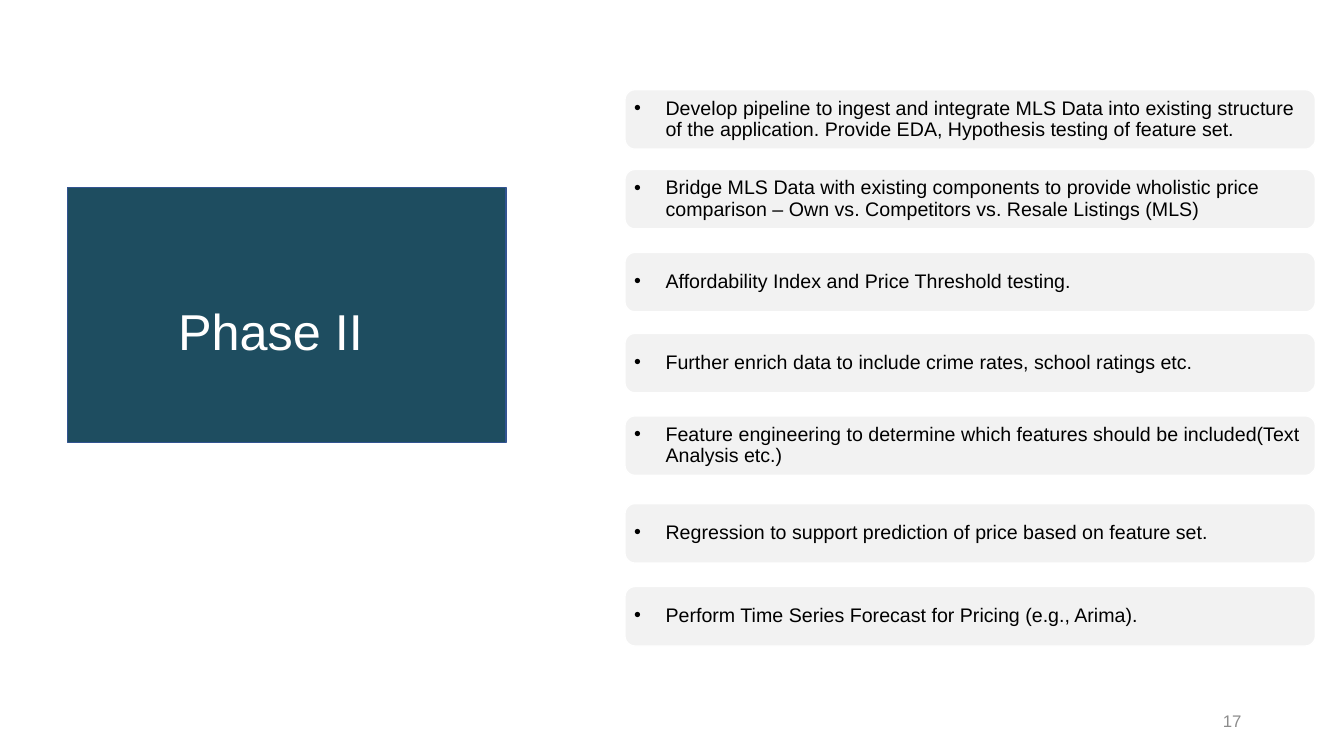
from dataclasses import dataclass

from lxml import etree
from pptx import Presentation
from pptx import util as u
from pptx.dml.color import RGBColor
from pptx.enum import shapes, text
from pptx.oxml import ns


@dataclass(frozen=True)
class Theme:
    font: str = "Arial"
    panel: str = "1E4D60"
    panel_line: str = "325491"
    card: str = "F2F2F2"
    white: str = "FFFFFF"
    black: str = "000000"
    gray: str = "8C8C8C"
    title_size: int = 36
    task_size: int = 14
    number_size: int = 12
    line_width: int = 1


@dataclass(frozen=True)
class Box:
    left: float
    top: float
    width: float
    height: float

    def lengths(self) -> tuple:
        return tuple(u.Cm(side) for side in (self.left, self.top, self.width, self.height))


@dataclass(frozen=True)
class Task:
    top: float
    wording: str


THEME = Theme()
PANEL = Box(1.7, 4.73, 11.05, 6.42)
TITLE = Box(4.24, 7.11, 5.38, 2.64)
PAGE_NUMBER = Box(23.92, 17.65, 7.62, 1.02)
CARD_LEFT, CARD_WIDTH, CARD_HEIGHT = 15.75, 17.4, 1.5
CARD_INSET = 0.16
CARD_ROUNDING = 0.17
BULLET_INDENT = 0.79

TASKS = (
    Task(2.26, "Develop pipeline to ingest and integrate MLS Data into existing structure "
               "of the application. Provide EDA, Hypothesis testing of feature set."),
    Task(4.27, "Bridge MLS Data with existing components to provide wholistic price "
               "comparison – Own vs. Competitors vs. Resale Listings (MLS)"),
    Task(6.36, "Affordability Index and Price Threshold testing."),
    Task(8.4, "Further enrich data to include crime rates, school ratings etc."),
    Task(10.48, "Feature engineering to determine which features should be included"
                "(Text Analysis etc.)"),
    Task(12.69, "Regression to support prediction of price based on feature set."),
    Task(14.78, "Perform Time Series Forecast for Pricing (e.g., Arima)."),
)


def add_bullet(paragraph) -> None:
    properties = paragraph._p.get_or_add_pPr()
    indent = u.Cm(BULLET_INDENT)
    properties.set("marL", str(indent))
    properties.set("indent", str(-indent))
    etree.SubElement(properties, ns.qn("a:buFont")).set("typeface", THEME.font)
    etree.SubElement(properties, ns.qn("a:buChar")).set("char", "•")


def write_text(shape, wording: str, *, size: int, color: str,
               align=text.PP_ALIGN.LEFT, spacing: float = 1.0,
               inset: float | None = None, bullet: bool = False) -> None:
    frame = shape.text_frame
    frame.word_wrap = True
    frame.vertical_anchor = text.MSO_ANCHOR.MIDDLE
    if inset is not None:
        frame.margin_left = frame.margin_right = u.Cm(inset)
        frame.margin_top = frame.margin_bottom = u.Cm(inset)
    paragraph = frame.paragraphs[0]
    if bullet:
        add_bullet(paragraph)
    paragraph.alignment = align
    paragraph.line_spacing = spacing
    run = paragraph.add_run()
    run.text = wording
    run.font.name = THEME.font
    run.font.size = u.Pt(size)
    run.font.color.rgb = RGBColor.from_string(color)


def add_block(slide, kind, box: Box, fill: str, line: str):
    shape = slide.shapes.add_shape(kind, *box.lengths())
    shape.shadow.inherit = False
    shape.fill.solid()
    shape.fill.fore_color.rgb = RGBColor.from_string(fill)
    shape.line.color.rgb = RGBColor.from_string(line)
    shape.line.width = u.Pt(THEME.line_width)
    return shape


def add_task(slide, task: Task) -> None:
    box = Box(CARD_LEFT, task.top, CARD_WIDTH, CARD_HEIGHT)
    card = add_block(slide, shapes.MSO_SHAPE.ROUNDED_RECTANGLE, box, THEME.card, THEME.white)
    card.adjustments[0] = CARD_ROUNDING
    write_text(card, task.wording, size=THEME.task_size, color=THEME.black,
               spacing=0.9, inset=CARD_INSET, bullet=True)


def main() -> None:
    presentation = Presentation()
    presentation.slide_width = u.Cm(33.87)
    presentation.slide_height = u.Cm(19.05)
    slide = presentation.slides.add_slide(presentation.slide_layouts[6])

    add_block(slide, shapes.MSO_SHAPE.RECTANGLE, PANEL, THEME.panel, THEME.panel_line)
    title = slide.shapes.add_textbox(*TITLE.lengths())
    write_text(title, "Phase II", size=THEME.title_size, color=THEME.white, spacing=0.9)
    page_number = slide.shapes.add_textbox(*PAGE_NUMBER.lengths())
    write_text(page_number, "17", size=THEME.number_size, color=THEME.gray,
               align=text.PP_ALIGN.RIGHT)
    for task in TASKS:
        add_task(slide, task)

    presentation.save("out.pptx")


if __name__ == "__main__":
    main()
